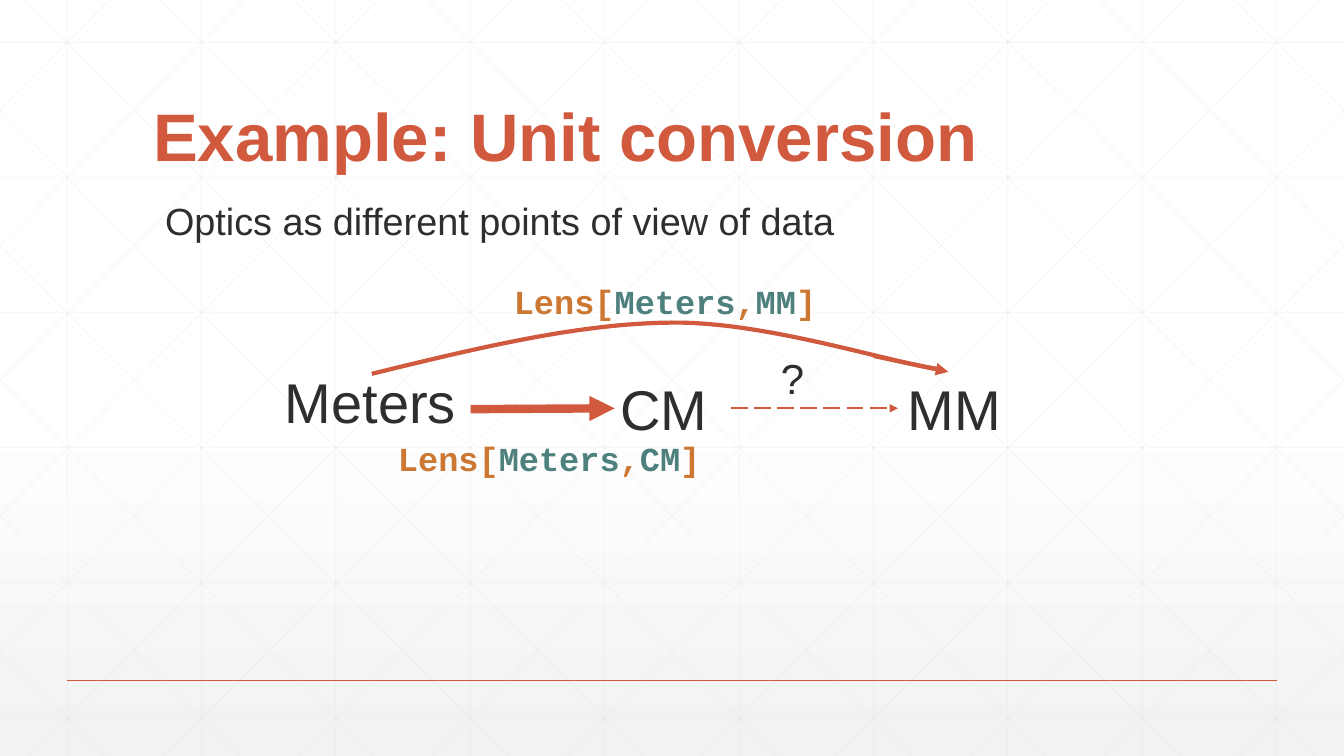
"""Build the unit conversion slide: Meters, CM and MM joined by lenses."""
from dataclasses import dataclass

from lxml import etree
from pptx import Presentation
from pptx.dml.color import RGBColor
from pptx.enum.dml import MSO_LINE
from pptx.enum.shapes import MSO_CONNECTOR
from pptx.enum.text import MSO_ANCHOR
from pptx.oxml.ns import qn
from pptx.util import Cm, Pt

STRAIGHT = MSO_CONNECTOR.STRAIGHT
LONG_DASH = MSO_LINE.LONG_DASH
TOP, BOTTOM = MSO_ANCHOR.TOP, MSO_ANCHOR.BOTTOM
WIDTH, HEIGHT = 33.87, 19.05
COLOURS = {
    "white": "FFFFFF",
    "shade": "F2F2F2",
    "grid": "D9D9D9",
    "accent": "D15A3E",
    "text": "2D2E2D",
    "keyword": "CC7832",
    "type": "4E807D",
}
Point = tuple[float, float]


@dataclass
class Line:
    start: Point
    end: Point
    weight: float
    colour: str = "accent"
    arrow: bool = False
    dash: MSO_LINE | None = None
    opacity: int = 100


@dataclass
class Label:
    left: float
    top: float
    width: float
    height: float
    size: float
    spans: list[tuple[str, str]]
    font: str = "Arial"
    bold: bool = False
    anchor: MSO_ANCHOR = TOP
    spacing: float = 1.0


def rgb(name: str) -> RGBColor:
    return RGBColor.from_string(COLOURS[name])


def draw_line(page, line: Line) -> None:
    points = [Cm(value) for value in (*line.start, *line.end)]
    connector = page.shapes.add_connector(STRAIGHT, *points)
    connector.line.width = Pt(line.weight)
    connector.line.color.rgb = rgb(line.colour)
    if line.dash is not None:
        connector.line.dash_style = line.dash
    properties = connector._element.spPr
    outline = properties.find(qn("a:ln"))
    if line.opacity < 100:
        colour = outline.find(".//" + qn("a:srgbClr"))
        etree.SubElement(colour, qn("a:alpha"), val=str(line.opacity * 1000))
    if line.arrow:
        etree.SubElement(outline, qn("a:tailEnd"), type="triangle")
    etree.SubElement(properties, qn("a:effectLst"))


def draw_label(page, label: Label) -> None:
    bounds = (label.left, label.top, label.width, label.height)
    box = page.shapes.add_textbox(*[Cm(value) for value in bounds])
    frame = box.text_frame
    frame.word_wrap = True
    frame.vertical_anchor = label.anchor
    para = frame.paragraphs[0]
    para.line_spacing = label.spacing
    for text, colour in label.spans:
        span = para.add_run()
        span.text = text
        span.font.name = label.font
        span.font.size = Pt(label.size)
        span.font.bold = label.bold
        span.font.color.rgb = rgb(colour)


def lens_label(left: float, top: float, target: str) -> Label:
    spans = [("Lens[", "keyword"), ("Meters", "type"), (",", "keyword"),
             (target, "type"), ("]", "keyword")]
    return Label(left, top, 8.4, 1.27, 24, spans, "Courier New", True)


def bezier(points: list[Point], steps: int = 24) -> list[Point]:
    curve = []
    for step in range(1, steps + 1):
        t = step / steps
        weights = ((1 - t) ** 3, 3 * t * (1 - t) ** 2, 3 * t * t * (1 - t), t ** 3)
        curve.append(tuple(sum(weight * point[axis] for weight, point in zip(weights, points))
                           for axis in (0, 1)))
    return curve


def draw_curve(page, knots: list[Point], weight: float) -> None:
    points = [point for first in range(0, len(knots) - 1, 3)
              for point in bezier(knots[first:first + 4])]
    builder = page.shapes.build_freeform(Cm(knots[0][0]), Cm(knots[0][1]))
    builder.add_line_segments([(Cm(x), Cm(y)) for x, y in points], close=False)
    curve = builder.convert_to_shape()
    curve.shadow.inherit = False
    curve.fill.background()
    curve.line.color.rgb = rgb("accent")
    curve.line.width = Pt(weight)


def grid_ends() -> list[tuple[Point, Point]]:
    column, row, run = WIDTH / 10, 3.4, 18.94
    ends = [((1.69 + column * i, 0), (1.69 + column * i, HEIGHT)) for i in range(10)]
    ends += [((0, 1.07 + row * i), (WIDTH, 1.07 + row * i)) for i in range(6)]
    slope = HEIGHT / run
    for i in range(-5, 10):
        top = 0.63 + column * i
        left, right = max(top, 0), min(top + run, WIDTH)
        upper, lower = (left - top) * slope, (right - top) * slope
        ends.append(((left, upper), (right, lower)))
        ends.append(((WIDTH - left, upper), (WIDTH - right, lower)))
    return ends


def paint_background(page) -> None:
    fill = page.background.fill
    fill.gradient()
    fill.gradient_angle = 270
    for stop, position, name in zip(fill.gradient_stops, (0.53, 1), ("white", "shade")):
        stop.position = position
        stop.color.rgb = rgb(name)


LINES = [
    Line((1.69, 17.15), (32.17, 17.15), 1),
    Line((11.86, 10.31), (15.49, 10.29), 6, arrow=True),
    Line((22.02, 8.97), (23.9, 9.37), 3, arrow=True),
    Line((18.42, 10.29), (22.63, 10.29), 1.5, arrow=True, dash=LONG_DASH),
]
LENS_ARC = [(9.37, 9.42), (11.96, 8.79), (14.55, 8.15), (16.92, 8.13),
            (19.3, 8.1), (22.43, 9.14), (23.65, 9.3)]
LABELS = [
    Label(3.61, 1.4, 26.67, 3.17, 48, [("Example: Unit conversion", "accent")],
          bold=True, anchor=BOTTOM, spacing=0.9),
    Label(3.91, 4.85, 17.88, 1.42, 27,
          [("Optics as different points of view of data", "text")]),
    Label(6.93, 9.14, 5.11, 3.68, 40, [("Meters", "text")]),
    Label(15.39, 9.32, 3.02, 1.96, 40, [("CM", "text")]),
    Label(22.63, 9.32, 3.12, 1.96, 40, [("MM", "text")]),
    Label(19.43, 8.76, 1.35, 1.55, 30, [("?", "text")]),
    lens_label(9.78, 10.92, "CM"),
    lens_label(12.7, 6.96, "MM"),
]


def main() -> None:
    deck = Presentation()
    deck.slide_width, deck.slide_height = Cm(WIDTH), Cm(HEIGHT)
    page = deck.slides.add_slide(deck.slide_layouts[6])
    paint_background(page)
    for start, end in grid_ends():
        draw_line(page, Line(start, end, 0.5, "grid", opacity=25))
    for line in LINES:
        draw_line(page, line)
    draw_curve(page, LENS_ARC, 3)
    for label in LABELS:
        draw_label(page, label)
    deck.save("out.pptx")


main()
